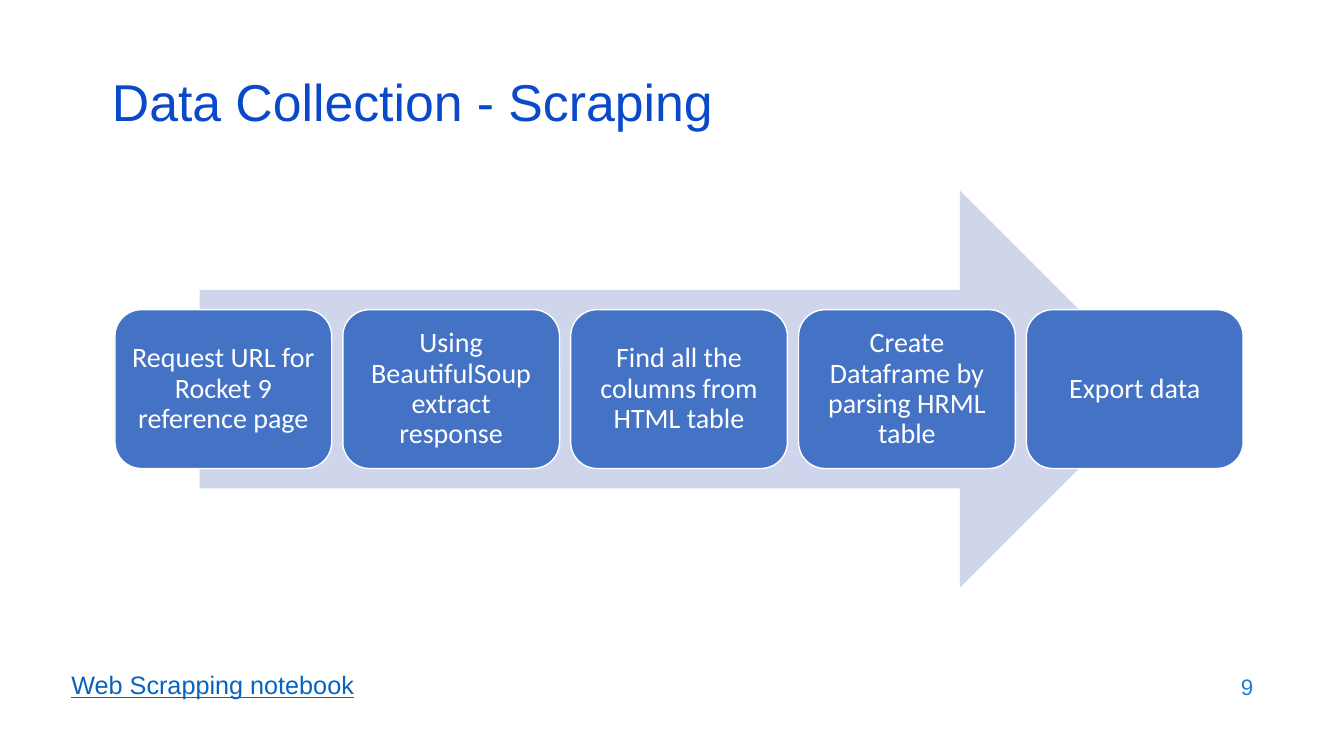
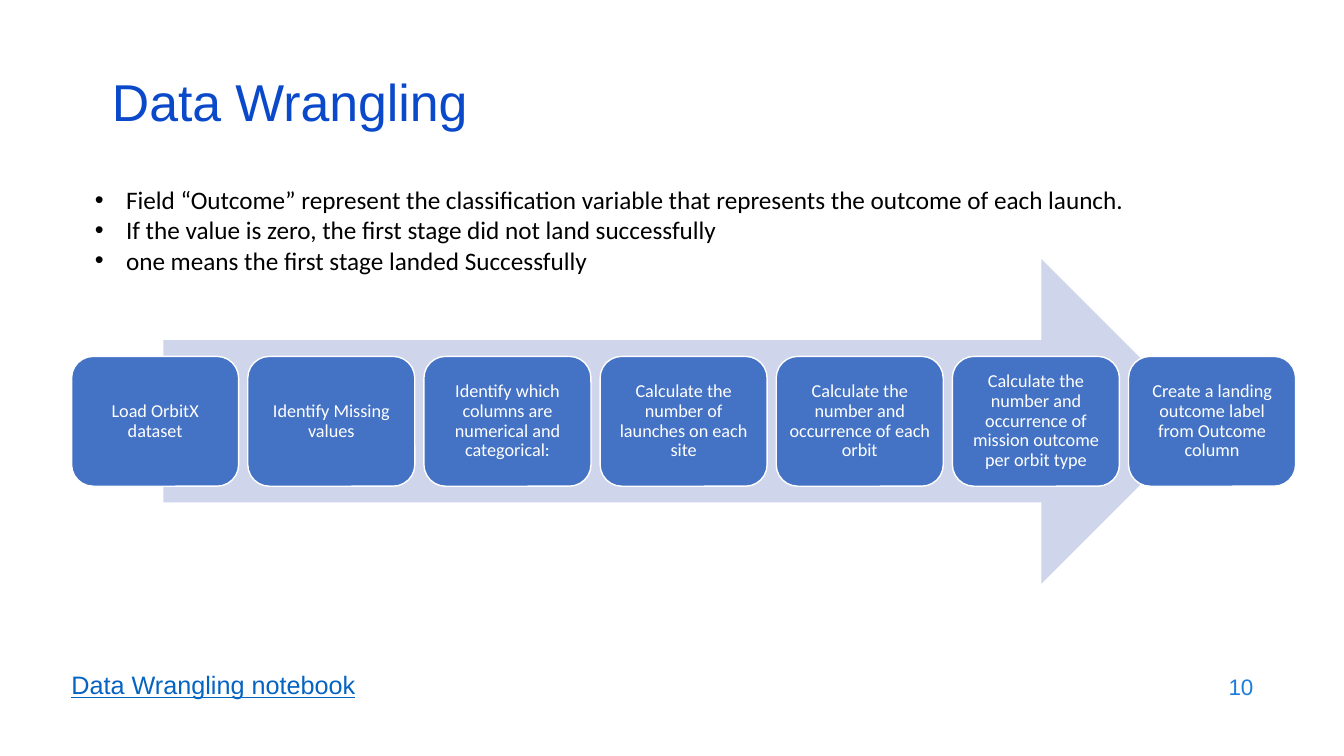
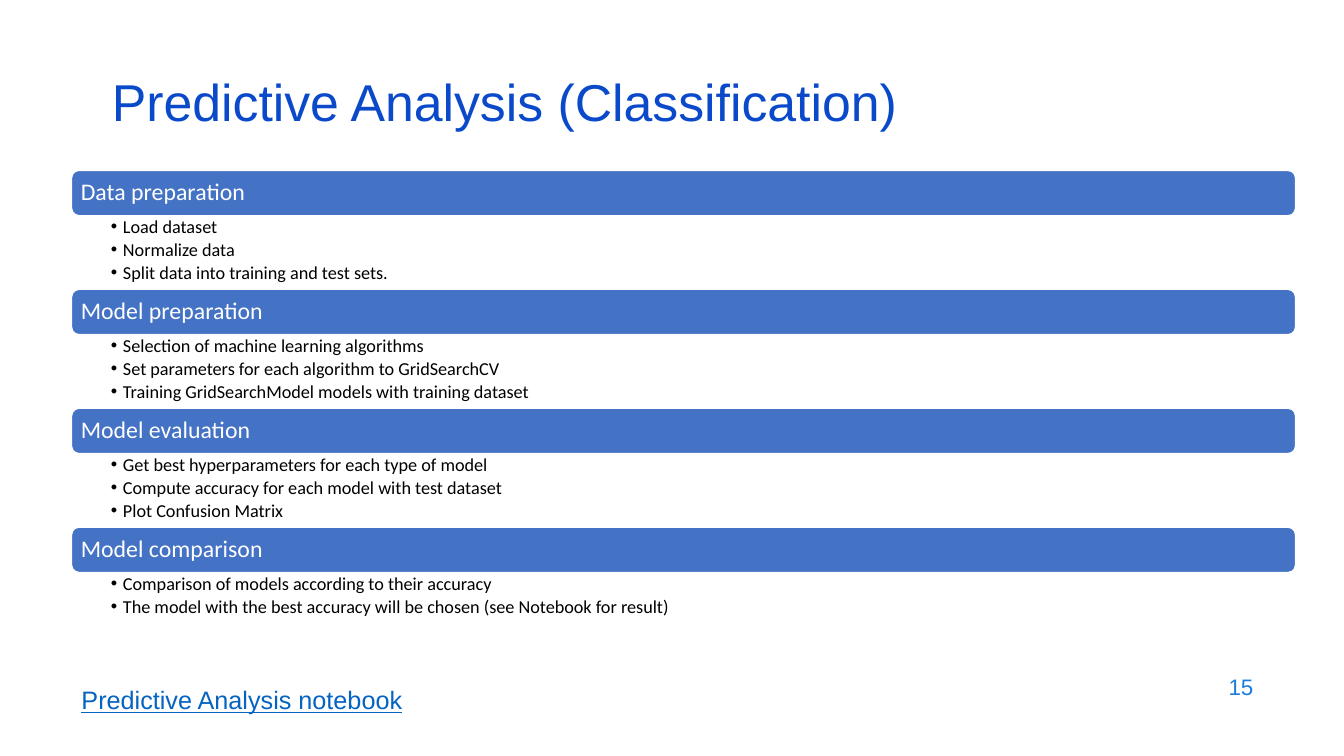
from pptx import Presentation
from pptx import util as u
from pptx.dml.color import RGBColor
from pptx.enum import shapes, text
from pptx.oxml.ns import qn
from lxml import etree

# Shared colours and fonts
WHITE = RGBColor(0xFF, 0xFF, 0xFF)
BLACK = RGBColor(0x00, 0x00, 0x00)
TITLE_BLUE = RGBColor(0x0B, 0x49, 0xCB)
NUMBER_BLUE = RGBColor(0x1C, 0x7D, 0xDB)
LINK_BLUE = RGBColor(0x05, 0x63, 0xC1)
BOX_BLUE = RGBColor(0x44, 0x72, 0xC4)
ARROW_BLUE = RGBColor(0xCF, 0xD5, 0xEA)
HEADING, BODY = "Arial", "Calibri"

LEFT, CENTER, RIGHT = text.PP_ALIGN.LEFT, text.PP_ALIGN.CENTER, text.PP_ALIGN.RIGHT
TOP, MIDDLE = text.MSO_ANCHOR.TOP, text.MSO_ANCHOR.MIDDLE
TITLE_AND_CONTENT, TITLE_ONLY = 1, 5
DEFAULT_INSETS = (0.1, 0.05, 0.1, 0.05)

# Text formats: font and paragraph attributes
TITLE = {
    "font": {"name": HEADING, "size": u.Pt(37)}, "color": TITLE_BLUE,
    "paragraph": {"alignment": LEFT, "line_spacing": 0.8},
}
NUMBER = {
    "font": {"name": HEADING, "size": u.Pt(16)}, "color": NUMBER_BLUE,
    "paragraph": {"alignment": RIGHT},
}
NOTEBOOK = {
    "font": {"name": HEADING, "size": u.Pt(18), "underline": True}, "color": LINK_BLUE,
    "paragraph": {"alignment": LEFT},
}
SECTION_HEADER = {
    "font": {"name": BODY, "size": u.Pt(17)}, "color": WHITE,
    "paragraph": {"alignment": LEFT, "line_spacing": 0.9},
}
SECTION_LIST = {
    "font": {"name": BODY, "size": u.Pt(13)}, "color": BLACK, "bullet": 0.12,
    "paragraph": {"alignment": LEFT, "line_spacing": 0.9, "space_after": u.Pt(2.4)},
}
BODY_LIST = {
    "font": {"name": BODY, "size": u.Pt(18)}, "color": BLACK, "bullet": 0.31,
    "paragraph": {"alignment": LEFT, "line_spacing": 1.0, "space_before": u.Pt(0)},
}


def step_format(size):
    return {
        "font": {"name": BODY, "size": u.Pt(size)}, "color": WHITE,
        "paragraph": {"alignment": CENTER, "line_spacing": 0.9},
    }


def inches(box):
    return [u.Inches(length) for length in box]


def set_attributes(target, values):
    for name, value in values.items():
        setattr(target, name, value)


def add_bullet(paragraph, indent):
    properties = paragraph._p.get_or_add_pPr()
    properties.set("marL", str(u.Inches(indent)))
    properties.set("indent", str(-u.Inches(indent)))
    etree.SubElement(properties, qn("a:buFont")).set("typeface", "Arial")
    etree.SubElement(properties, qn("a:buChar")).set("char", "•")


def write(shape, lines, style, anchor=TOP, insets=DEFAULT_INSETS,
          auto_size=text.MSO_AUTO_SIZE.NONE):
    frame = shape.text_frame
    sides = ("margin_left", "margin_top", "margin_right", "margin_bottom")
    set_attributes(frame, {"word_wrap": True, "auto_size": auto_size, "vertical_anchor": anchor})
    set_attributes(frame, dict(zip(sides, inches(insets))))
    for index, line in enumerate(lines):
        paragraph = frame.add_paragraph() if index else frame.paragraphs[0]
        if "bullet" in style:
            add_bullet(paragraph, style["bullet"])
        set_attributes(paragraph, style["paragraph"])
        run = paragraph.add_run()
        run.text = line
        set_attributes(run.font, style["font"])
        run.font.color.rgb = style["color"]


def place(shape, box):
    set_attributes(shape, dict(zip(("left", "top", "width", "height"), inches(box))))


def add_block(slide, kind, box, fill, outlined=True):
    block = slide.shapes.add_shape(kind, *inches(box))
    block.shadow.inherit = False
    block.fill.solid()
    block.fill.fore_color.rgb = fill
    if outlined:
        block.line.color.rgb = WHITE
        block.line.width = u.Pt(1)
    else:
        block.line.fill.background()
    return block


def add_slide(presentation, layout, title, number, notebook, notebook_box):
    """Title, slide number and notebook label found on every slide."""
    slide = presentation.slides.add_slide(presentation.slide_layouts[layout])
    place(slide.shapes.title, (1.01, 0.76, 11.5, 0.6))
    write(slide.shapes.title, [title], TITLE, MIDDLE)
    number_box = slide.shapes.add_textbox(*inches((9.53, 6.59, 3, 0.44)))
    write(number_box, [str(number)], NUMBER, MIDDLE)
    label = slide.shapes.add_textbox(*inches(notebook_box))
    write(label, [notebook], NOTEBOOK, auto_size=text.MSO_AUTO_SIZE.SHAPE_TO_FIT_TEXT)
    return slide


def add_process(slide, box, steps, gap, size, inset):
    """Row of equal steps over a wide arrow."""
    left, top, width, height = box
    arrow_box = (left + 0.075 * width, top, 0.85 * width, height)
    add_block(slide, shapes.MSO_SHAPE.RIGHT_ARROW, arrow_box, ARROW_BLUE, outlined=False)
    step_width = (width - gap * (len(steps) - 1)) / len(steps)
    for index, step in enumerate(steps):
        step_box = (left + index * (step_width + gap), top + 0.3 * height,
                    step_width, 0.4 * height)
        block = add_block(slide, shapes.MSO_SHAPE.ROUNDED_RECTANGLE, step_box, BOX_BLUE)
        write(block, [step], step_format(size), MIDDLE, [inset] * 4)


def add_sections(slide, left, top, width, sections):
    """Stack of header bars, each followed by its bullet list."""
    header_height = 0.45
    for header, items in sections:
        bar = add_block(slide, shapes.MSO_SHAPE.ROUNDED_RECTANGLE,
                        (left, top, width, header_height), BOX_BLUE)
        write(bar, [header], SECTION_HEADER, MIDDLE, [0.07] * 4)
        list_height = 0.24 * len(items) + 0.01
        list_box = slide.shapes.add_textbox(
            *inches((left, top + header_height, width, list_height)))
        write(list_box, items, SECTION_LIST, insets=(0.39, 0.02, 0.13, 0.02))
        top += header_height + list_height


def build_scraping(presentation):
    slide = add_slide(presentation, TITLE_ONLY, "Data Collection - Scraping", 9,
                      "Web Scrapping notebook", (0.61, 6.59, 3.11, 0.4))
    steps = [
        "Request URL for Rocket 9 reference page",
        "Using BeautifulSoup extract response",
        "Find all the columns from HTML table",
        "Create Dataframe by parsing HRML table",
        "Export data",
    ]
    add_process(slide, (1.14, 1.89, 11.19, 3.94), steps, gap=0.11, size=20, inset=0.08)


def build_wrangling(presentation):
    slide = add_slide(presentation, TITLE_AND_CONTENT, "Data Wrangling", 10,
                      "Data Wrangling notebook", (0.61, 6.59, 3.11, 0.4))
    steps = [
        "Load OrbitX dataset",
        "Identify Missing values",
        "Identify which columns are numerical and categorical:",
        "Calculate the number of launches on each site",
        "Calculate the number and occurrence of each orbit",
        "Calculate the number and occurrence of mission outcome per orbit type",
        "Create a landing outcome label from Outcome column",
    ]
    add_process(slide, (0.71, 2.57, 12.14, 3.22), steps, gap=0.09, size=13, inset=0.05)
    body = slide.placeholders[1]
    place(body, (0.84, 1.78, 11.4, 1.01))
    write(body, [
        "Field “Outcome” represent the classification variable that represents "
        "the outcome of each launch.",
        "If the value is zero, the first stage did not land successfully",
        "one means the first stage landed Successfully",
    ], BODY_LIST)


def build_analysis(presentation):
    slide = add_slide(presentation, TITLE_ONLY, "Predictive Analysis (Classification)", 15,
                      "Predictive Analysis notebook", (0.71, 6.74, 4.35, 0.4))
    sections = [
        ("Data preparation", [
            "Load dataset",
            "Normalize data",
            "Split data into training and test sets.",
        ]),
        ("Model preparation", [
            "Selection of machine learning algorithms",
            "Set parameters for each algorithm to GridSearchCV",
            "Training GridSearchModel models with training dataset",
        ]),
        ("Model evaluation", [
            "Get best hyperparameters for each type of model",
            "Compute accuracy for each model with test dataset",
            "Plot Confusion Matrix",
        ]),
        ("Model comparison", [
            "Comparison of models according to their accuracy",
            "The model with the best accuracy will be chosen (see Notebook for result)",
        ]),
    ]
    add_sections(slide, 0.71, 1.69, 12.14, sections)


def main():
    presentation = Presentation()
    presentation.slide_width = u.Inches(13.33)
    presentation.slide_height = u.Inches(7.5)
    build_scraping(presentation)
    build_wrangling(presentation)
    build_analysis(presentation)
    presentation.save("out.pptx")


if __name__ == "__main__":
    main()
